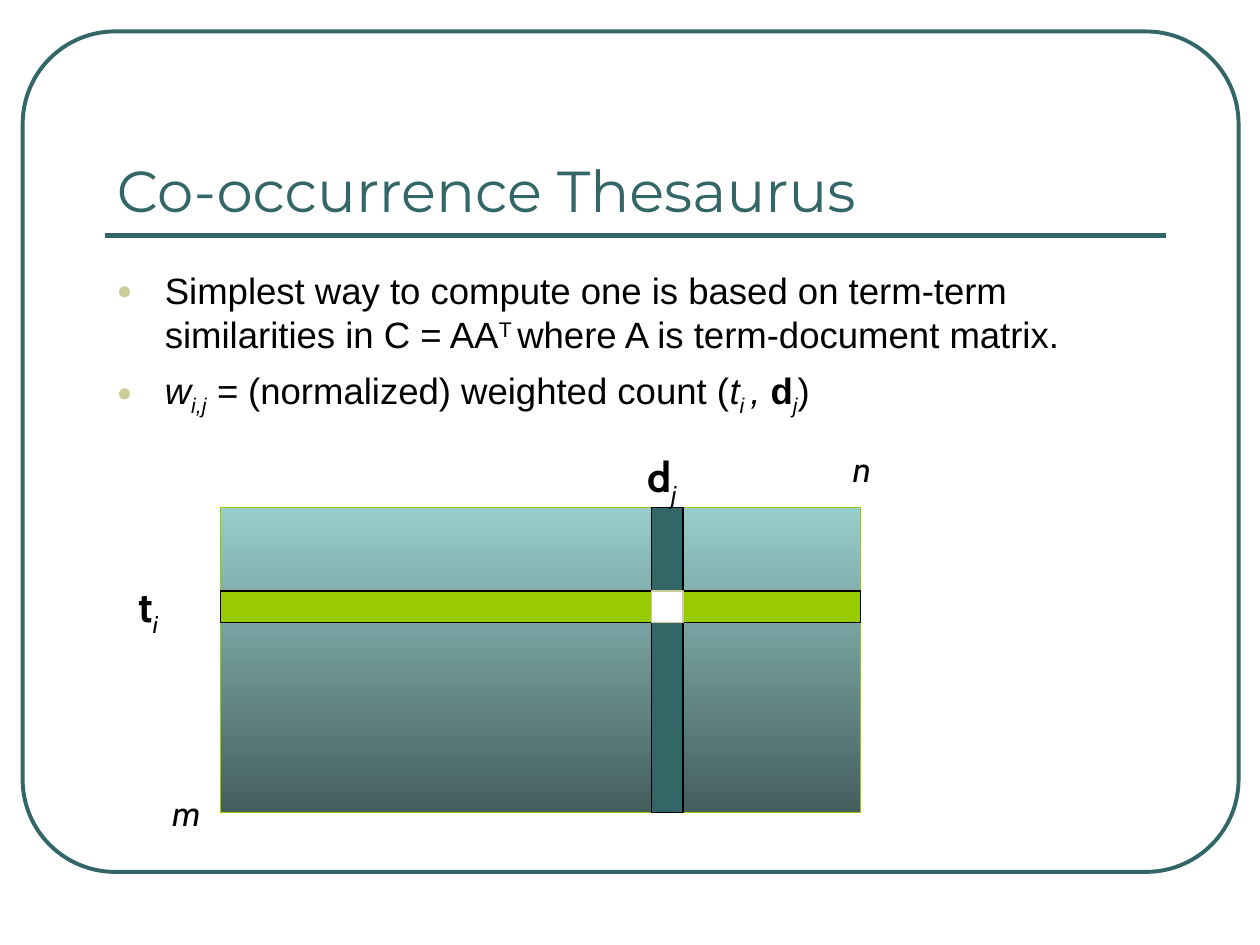
from lxml.etree import SubElement
from pptx import Presentation
from pptx.dml.color import RGBColor
from pptx.enum.shapes import MSO_CONNECTOR as Connector, MSO_SHAPE as Shape
from pptx.enum.text import MSO_ANCHOR as Anchor
from pptx.oxml.ns import qn
from pptx.util import Inches, Pt

TEAL = RGBColor(0x33, 0x66, 0x66)
LIGHT_TEAL = RGBColor(0x97, 0xCD, 0xCC)
DARK_TEAL = RGBColor(0x45, 0x5E, 0x5E)
GREEN = RGBColor(0x99, 0xCC, 0x00)
SAND = RGBColor(0xCC, 0xCC, 0x99)
BLACK = RGBColor(0, 0, 0)
WHITE = RGBColor(0xFF, 0xFF, 0xFF)

SUBSCRIPT, SUPERSCRIPT = -25, 30


class SlideBuilder:
    title_font, body_font, label_font = "Montserrat", "Arial", "Cabin"

    def __init__(self, slide):
        self.slide = slide

    def box(self, left, top, width, height, fill, line, weight=0.75, kind=Shape.RECTANGLE):
        shape = self.slide.shapes.add_shape(
            kind, Inches(left), Inches(top), Inches(width), Inches(height))
        shape.shadow.inherit = False
        if fill is None:
            shape.fill.background()
        elif isinstance(fill, RGBColor):
            shape.fill.solid()
            shape.fill.fore_color.rgb = fill
        else:
            shape.fill.gradient()
            shape.fill.gradient_angle = 270
            for stop, color in zip(shape.fill.gradient_stops, fill):
                stop.color.rgb = color
        shape.line.color.rgb = line
        shape.line.width = Pt(weight)
        return shape

    def rule(self, left, top, right, color, weight):
        line = self.slide.shapes.add_connector(
            Connector.STRAIGHT, Inches(left), Inches(top), Inches(right), Inches(top))
        line.line.color.rgb = color
        line.line.width = Pt(weight)
        SubElement(line._element.spPr, qn("a:effectLst"))

    def text(self, left, top, width, height, paragraphs, font, size,
             color=BLACK, anchor=Anchor.TOP, bullets=False):
        frame = self.slide.shapes.add_textbox(
            Inches(left), Inches(top), Inches(width), Inches(height)).text_frame
        frame.word_wrap = True
        frame.vertical_anchor = anchor
        for index, runs in enumerate(paragraphs):
            paragraph = frame.add_paragraph() if index else frame.paragraphs[0]
            if index:
                paragraph.space_before = Pt(6.8)
            if bullets:
                self.bullet(paragraph)
            paragraph.font.name = font
            paragraph.font.size = Pt(size)
            paragraph.font.color.rgb = color
            for content, style, baseline in runs:
                run = paragraph.add_run()
                run.text = content
                if "b" in style:
                    run.font.bold = True
                if "i" in style:
                    run.font.italic = True
                if baseline:
                    run._r.get_or_add_rPr().set("baseline", str(baseline * 1000))

    def bullet(self, paragraph):
        properties = paragraph._p.get_or_add_pPr()
        properties.set("marL", str(Inches(0.38)))
        properties.set("indent", str(-Inches(0.38)))
        color = SubElement(properties, qn("a:buClr"))
        SubElement(color, qn("a:srgbClr"), val=str(SAND))
        SubElement(properties, qn("a:buSzPct"), val="70000")
        SubElement(properties, qn("a:buFont"), typeface=self.body_font)
        SubElement(properties, qn("a:buChar"), char="●")

    def label(self, left, top, name, subscript):
        runs = [(name, "b", 0), (subscript, "i", SUBSCRIPT)]
        self.text(left, top, 0.75, 0.56, [runs], self.label_font, 24)

    def dimension(self, left, top, name):
        self.text(left, top, 0.75, 0.44, [[(name, "i", 0)]], self.label_font, 20)


def main():
    presentation = Presentation()
    presentation.slide_width, presentation.slide_height = Inches(10), Inches(7.5)
    builder = SlideBuilder(presentation.slides.add_slide(presentation.slide_layouts[6]))

    frame = builder.box(0.18, 0.25, 9.65, 6.67, None, TEAL, 2.25, Shape.ROUNDED_RECTANGLE)
    frame.adjustments[0] = 0.11
    builder.rule(0.83, 1.87, 9.25, TEAL, 3)
    builder.text(0.83, 0.58, 8.42, 1.25, [[("Co-occurrence Thesaurus", "", 0)]],
                 builder.title_font, 33, TEAL, Anchor.BOTTOM)

    similarity = [
        ("Simplest way to compute one is based on term-term similarities in C = AA", "", 0),
        ("T ", "", SUPERSCRIPT),
        ("where A is term-document matrix.", "", 0),
    ]
    weight = [
        ("w", "i", 0), ("i,j", "i", SUBSCRIPT), (" = ", "i", 0),
        ("(normalized) weighted count (", "", 0),
        ("t", "i", 0), ("i ", "i", SUBSCRIPT), (", ", "i", 0),
        ("d", "b", 0), ("j", "i", SUBSCRIPT), (")", "", 0),
    ]
    builder.text(0.83, 2.08, 8.42, 1.31, [similarity, weight],
                 builder.body_font, 20.9, bullets=True)

    left, top, width, height = 1.75, 4.03, 5.08, 2.42
    column, row, band = 5.17, 4.69, 0.25
    builder.box(left, top, width, height, (LIGHT_TEAL, DARK_TEAL), GREEN)
    builder.box(left, row, width, band, GREEN, BLACK)
    builder.box(column, top, band, height, TEAL, BLACK)
    builder.box(column, row, band, band, WHITE, SAND)

    builder.label(1, 4.56, "t", "i")
    builder.label(5.04, 3.53, "d", "j")
    builder.dimension(6.67, 3.5, "n")
    builder.dimension(1.27, 6.23, "m")

    presentation.save("out.pptx")


if __name__ == "__main__":
    main()
